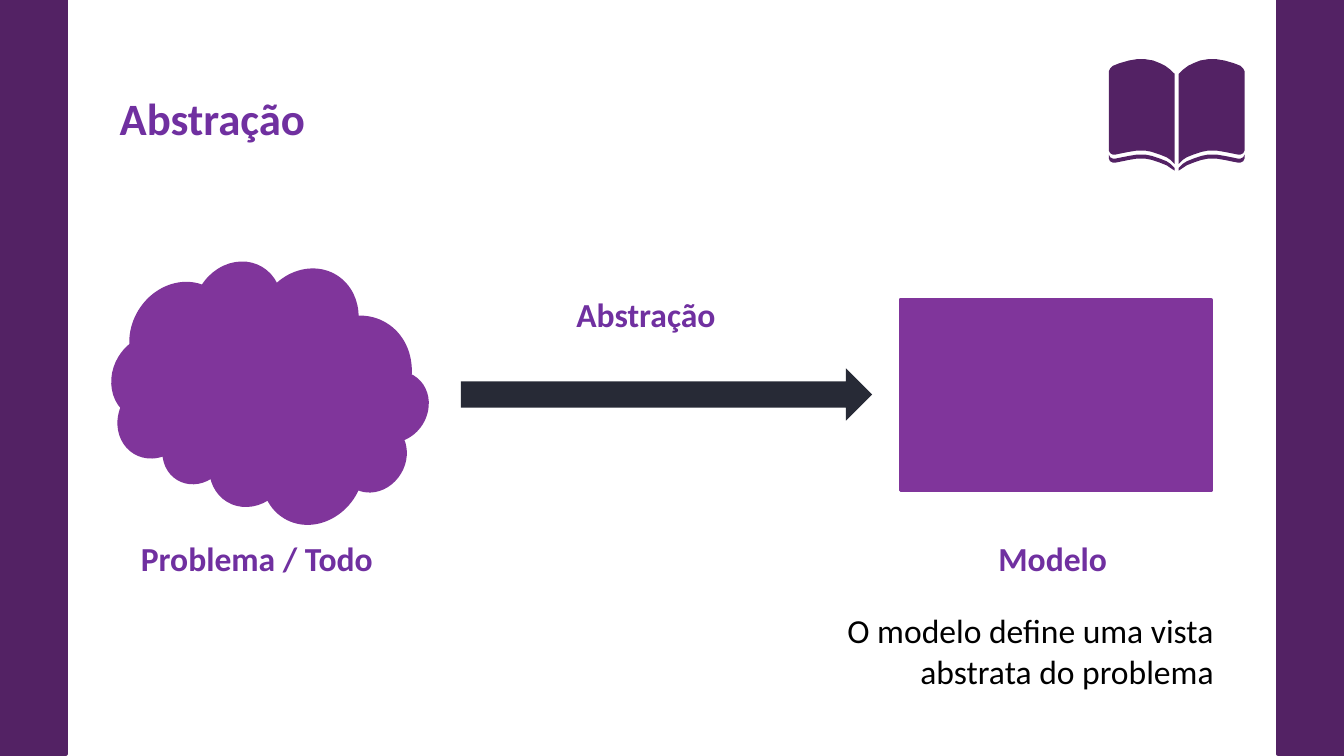
from pptx import Presentation
from pptx.dml.color import RGBColor
from pptx.enum.shapes import MSO_SHAPE
from pptx.enum.text import MSO_ANCHOR, MSO_AUTO_SIZE, PP_ALIGN
from pptx.util import Inches, Pt

RECT, CLOUD, ARROW = MSO_SHAPE.RECTANGLE, MSO_SHAPE.CLOUD, MSO_SHAPE.RIGHT_ARROW
LEFT, RIGHT = PP_ALIGN.LEFT, PP_ALIGN.RIGHT
TOP, MIDDLE = MSO_ANCHOR.TOP, MSO_ANCHOR.MIDDLE

COLORS = {"band": "532264", "purple": "80359B", "heading": "7030A0",
          "arrow": "272A36", "text": "000000"}


def paint(sp, color, outlined=True):
    rgb = RGBColor.from_string(COLORS[color])
    sp.shadow.inherit = False
    sp.fill.solid()
    sp.fill.fore_color.rgb = rgb
    if outlined:
        sp.line.color.rgb = rgb
        sp.line.width = Pt(2)
    else:
        sp.line.fill.background()


def write(sp, text, size, color="heading", bold=True, align=LEFT, anchor=TOP):
    tf = sp.text_frame
    tf.text = text
    tf.word_wrap = True
    tf.auto_size = MSO_AUTO_SIZE.NONE
    tf.vertical_anchor = anchor
    tf.margin_left = tf.margin_right = tf.margin_top = tf.margin_bottom = Inches(0.1)
    p = tf.paragraphs[0]
    p.alignment = align
    font = p.runs[0].font
    font.name, font.size, font.bold = "Calibri", Pt(size), bold
    font.color.rgb = RGBColor.from_string(COLORS[color])


# A 16:9 slide, 10 inches wide
prs = Presentation()
prs.slide_width = Inches(10)
prs.slide_height = Inches(10 * 9 / 16)
s = prs.slides.add_slide(prs.slide_layouts[5])

# Side bands
for x in (9.51, 0):
    sp = s.shapes.add_shape(RECT, Inches(x), 0, Inches(0.49), Inches(5.61))
    paint(sp, "band")

# Title
title = s.shapes.title
title.left, title.top = Inches(0.79), Inches(0.55)
title.width, title.height = Inches(6.68), Inches(0.65)
write(title, "Abstração", 24, anchor=MIDDLE)

# Open book: (distance from the spine, y), mirrored for the left half
PAGE = [(0, 0.57), (0, 0.55), (0.03, 0.52), (0.07, 0.49), (0.11, 0.47),
        (0.16, 0.45), (0.22, 0.44), (0.28, 0.44), (0.34, 0.45), (0.41, 0.47),
        (0.46, 0.49), (0.48, 0.51), (0.49, 0.53), (0.49, 1.12), (0.48, 1.14),
        (0.46, 1.15), (0.44, 1.15), (0.39, 1.14), (0.34, 1.13), (0.28, 1.12),
        (0.22, 1.12), (0.17, 1.13), (0.11, 1.15), (0.06, 1.17), (0.03, 1.19),
        (0, 1.22)]
COVER = [(0, 1.25), (0.03, 1.22), (0.06, 1.2), (0.11, 1.18), (0.17, 1.16),
         (0.22, 1.15), (0.28, 1.15), (0.34, 1.16), (0.39, 1.17), (0.44, 1.18),
         (0.46, 1.18), (0.48, 1.17), (0.49, 1.15), (0.49, 1.18), (0.48, 1.2),
         (0.46, 1.21), (0.44, 1.21), (0.39, 1.2), (0.34, 1.19), (0.28, 1.18),
         (0.22, 1.18), (0.17, 1.19), (0.11, 1.21), (0.06, 1.23), (0.03, 1.25),
         (0, 1.27)]
for outline in (COVER, PAGE):
    for inner, side in ((8.74, -1), (8.77, 1)):
        points = [(Inches(inner + side * d), Inches(y)) for d, y in outline]
        builder = s.shapes.build_freeform(*points[0])
        builder.add_line_segments(points[1:], close=True)
        paint(builder.convert_to_shape(), "band", outlined=False)

# Problem cloud, arrow and model box
for kind, x, y, w, h, color, outlined, angle in (
        (ARROW, 3.43, 2.74, 3.06, 0.39, "arrow", False, 0),
        (CLOUD, 0.89, 1.94, 2.27, 1.89, "purple", True, 211.1),
        (RECT, 6.7, 2.23, 2.31, 1.42, "purple", True, 0)):
    sp = s.shapes.add_shape(kind, Inches(x), Inches(y), Inches(w), Inches(h))
    sp.rotation = angle
    paint(sp, color, outlined)

# Labels
for text, x, y, w in (("Abstração", 4.19, 2.09, 1.55),
                      ("Modelo", 7.33, 3.9, 1.55),
                      ("Problema / Todo", 0.95, 3.9, 2.26)):
    sp = s.shapes.add_textbox(Inches(x), Inches(y), Inches(w), Inches(0.65))
    write(sp, text, 18)

# Explanation
sp = s.shapes.add_textbox(Inches(5.68), Inches(4.44), Inches(3.45), Inches(0.81))
write(sp, "O modelo define uma vista abstrata do problema", 18, "text",
      bold=False, align=RIGHT)

prs.save("out.pptx")
